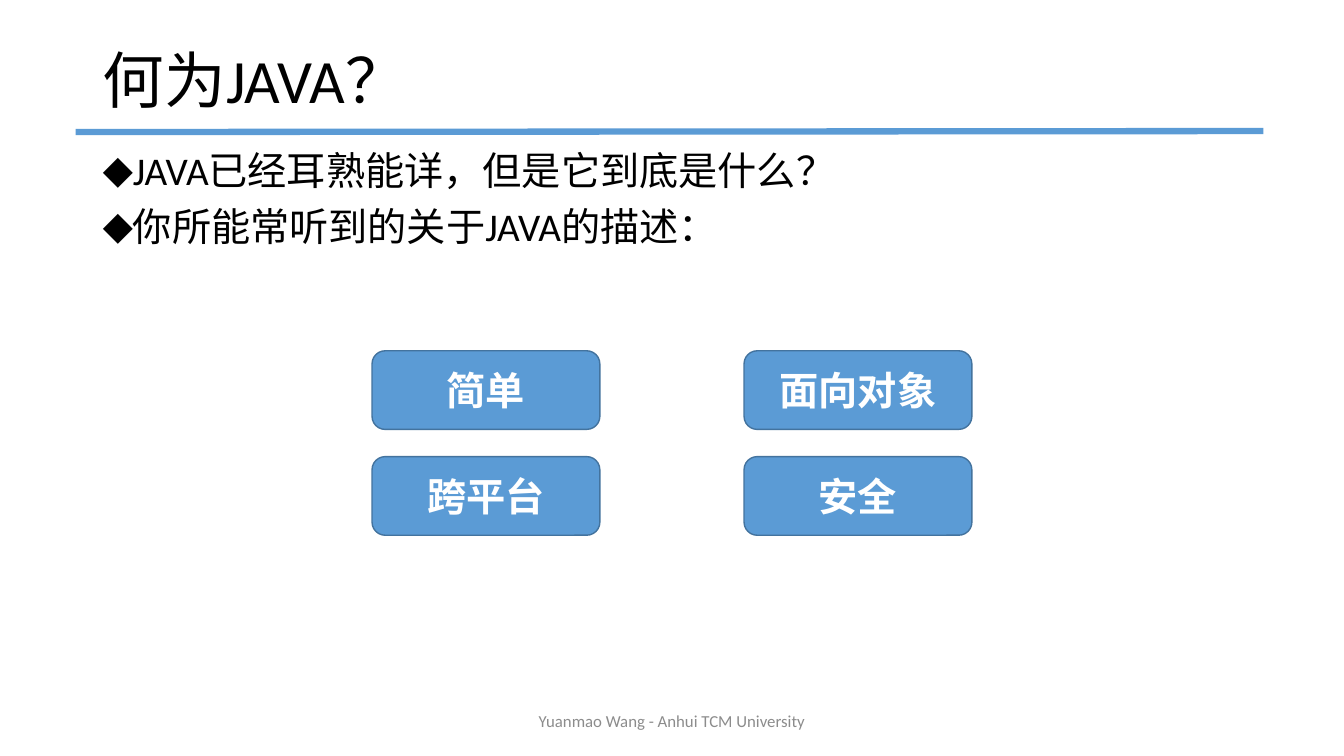
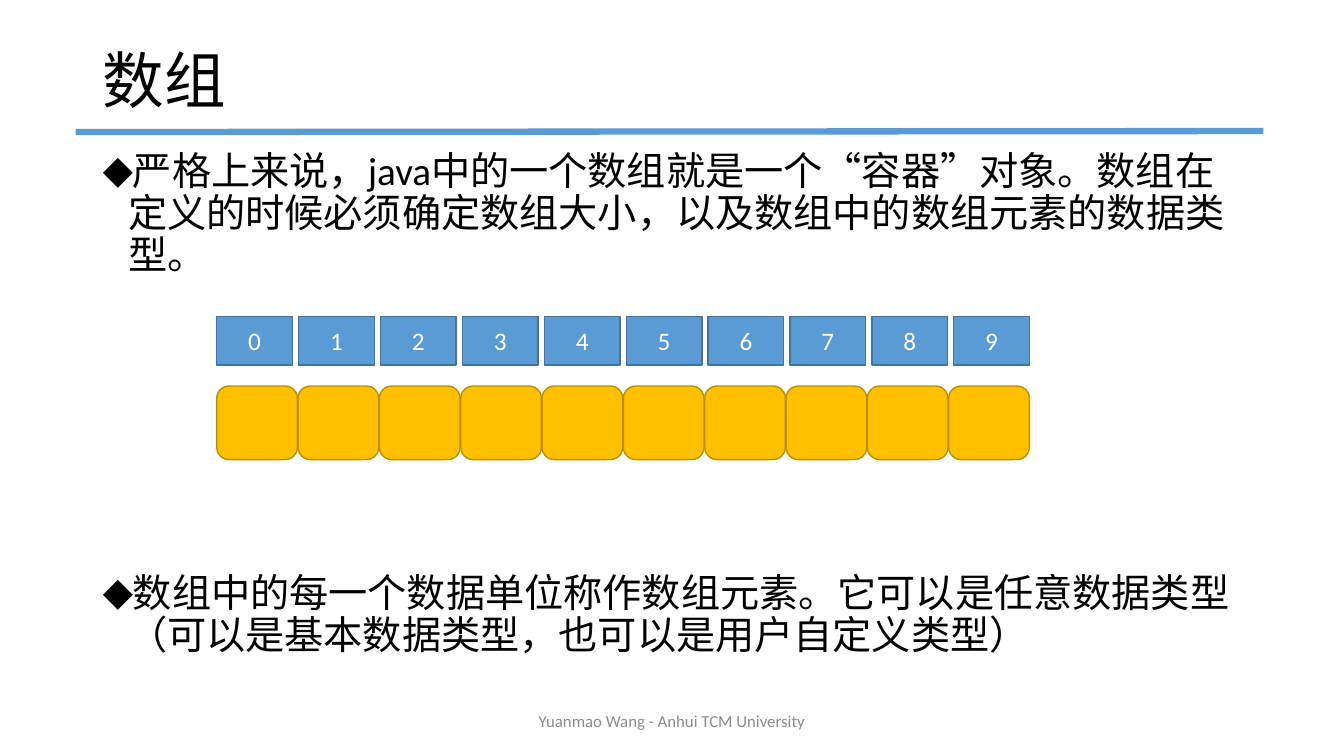
from dataclasses import dataclass

from lxml import etree
from pptx import Presentation
from pptx import util as u
from pptx.dml.color import RGBColor
from pptx.enum import shapes, text
from pptx.oxml.ns import qn

# Shared style
WIDTH, HEIGHT = 13.33, 7.5
FONT = "Calibri"
BLACK, WHITE, GREY = "000000", "FFFFFF", "8C8C8C"
BLUE, DARK_BLUE = "5B9BD5", "43739E"
GOLD, DARK_GOLD = "FFC000", "BD8E00"
MARGIN, CONTENT_WIDTH = 0.92, 11.5
FOOTER = "Yuanmao Wang - Anhui TCM University"
ROUNDED = shapes.MSO_SHAPE.ROUNDED_RECTANGLE
RECTANGLE = shapes.MSO_SHAPE.RECTANGLE

CENTERED = {"alignment": text.PP_ALIGN.CENTER}
TITLE_PARAGRAPH = {"alignment": text.PP_ALIGN.LEFT, "line_spacing": 0.9}
LIST_PARAGRAPH = {"alignment": text.PP_ALIGN.LEFT, "line_spacing": 0.9,
                  "space_before": u.Pt(10)}
MIDDLE_FRAME = {"word_wrap": True, "auto_size": text.MSO_AUTO_SIZE.NONE,
                "vertical_anchor": text.MSO_ANCHOR.MIDDLE}
TOP_FRAME = {**MIDDLE_FRAME, "vertical_anchor": text.MSO_ANCHOR.TOP}


@dataclass(frozen=True)
class BoxStyle:
    preset: shapes.MSO_SHAPE
    fill: str
    line: str
    size: int = 18
    bold: bool = False


@dataclass(frozen=True)
class Grid:
    """Equal boxes; the steps run from one box's edge to the next."""
    left: float
    top: float
    width: float
    height: float
    column_step: float
    row_step: float = 0

    def cell(self, column: int, row: int = 0) -> tuple:
        return (self.left + column * self.column_step,
                self.top + row * self.row_step, self.width, self.height)


FEATURE = BoxStyle(ROUNDED, BLUE, DARK_BLUE, size=28, bold=True)
INDEX = BoxStyle(RECTANGLE, BLUE, DARK_BLUE)
ELEMENT = BoxStyle(ROUNDED, GOLD, DARK_GOLD)


# Helpers
def color(value: str) -> RGBColor:
    return RGBColor.from_string(value)


def inches(*lengths: float) -> list:
    return [u.Inches(length) for length in lengths]


def apply(target, values: dict) -> None:
    for name, value in values.items():
        setattr(target, name, value)


def place(shape, *box: float) -> None:
    apply(shape, dict(zip(("left", "top", "width", "height"), inches(*box))))


def write(paragraph, words: str, size: int, ink: str, layout: dict,
          bold: bool = False) -> None:
    run = paragraph.add_run()
    run.text = words
    apply(run.font, {"name": FONT, "size": u.Pt(size), "bold": bold})
    run.font.color.rgb = color(ink)
    apply(paragraph, layout)


def add_bullet(paragraph) -> None:
    properties = paragraph._p.get_or_add_pPr()
    indent = u.Inches(0.25)
    properties.set("marL", str(indent))
    properties.set("indent", str(-indent))
    etree.SubElement(properties, qn("a:buFont"), typeface=FONT)
    etree.SubElement(properties, qn("a:buChar"), char="◆")


def add_box(slide, box: tuple, style: BoxStyle, words: str = "") -> None:
    shape = slide.shapes.add_shape(style.preset, *inches(*box))
    shape.shadow.inherit = False
    shape.fill.solid()
    shape.fill.fore_color.rgb = color(style.fill)
    shape.line.color.rgb = color(style.line)
    shape.line.width = u.Pt(1)
    if words:
        apply(shape.text_frame, MIDDLE_FRAME)
        write(shape.text_frame.paragraphs[0], words, style.size, WHITE,
              CENTERED, style.bold)


# Parts on every slide
def add_rule(slide) -> None:
    rule = slide.shapes.add_connector(shapes.MSO_CONNECTOR.STRAIGHT,
                                      *inches(0.75, 1.31, 12.53, 1.3))
    rule.line.color.rgb = color(BLUE)
    rule.line.width = u.Pt(4.5)
    etree.SubElement(rule._element.spPr, qn("a:effectLst"))


def add_footer(slide) -> None:
    width = 4.5
    footer = slide.shapes.add_textbox(
        *inches((WIDTH - width) / 2, 6.95, width, 0.4))
    apply(footer.text_frame, MIDDLE_FRAME)
    write(footer.text_frame.paragraphs[0], FOOTER, 12, GREY, CENTERED)


def add_slide(presentation, title: str, points: list, gap: float = 10):
    """Add a titled list; gap is the space in points before later items."""
    slide = presentation.slides.add_slide(presentation.slide_layouts[1])
    add_rule(slide)

    heading, body = slide.shapes.title, slide.placeholders[1]
    place(heading, MARGIN, 0.4, CONTENT_WIDTH, 0.86)
    apply(heading.text_frame, MIDDLE_FRAME)
    write(heading.text_frame.paragraphs[0], title, 44, BLACK, TITLE_PARAGRAPH)

    place(body, MARGIN, 1.45, CONTENT_WIDTH, 5.3)
    frame = body.text_frame
    apply(frame, TOP_FRAME)
    for number, point in enumerate(points):
        paragraph = frame.add_paragraph() if number else frame.paragraphs[0]
        layout = dict(LIST_PARAGRAPH)
        if number:
            layout["space_before"] = u.Pt(gap)
        write(paragraph, point, 28, BLACK, layout)
        add_bullet(paragraph)

    add_footer(slide)
    return slide


# Slides
def add_java_slide(presentation) -> None:
    slide = add_slide(presentation, "何为JAVA？", [
        "JAVA已经耳熟能详，但是它到底是什么？",
        "你所能常听到的关于JAVA的描述：",
    ])
    grid = Grid(3.69, 3.48, 2.26, 0.78, column_step=3.69, row_step=1.05)
    features = [("简单", "面向对象"), ("跨平台", "安全")]
    for row, names in enumerate(features):
        for column, name in enumerate(names):
            add_box(slide, grid.cell(column, row), FEATURE, name)


def add_array_slide(presentation) -> None:
    slide = add_slide(presentation, "数组", [
        "严格上来说，java中的一个数组就是一个“容器”对象。数组在定义的时候"
        "必须确定数组大小，以及数组中的数组元素的数据类型。",
        "数组中的每一个数据单位称作数组元素。它可以是任意数据类型"
        "（可以是基本数据类型，也可以是用户自定义类型）",
    ], gap=211)
    count = 10
    left, right = 2.15, 10.21

    def row_grid(top: float, width: float, height: float) -> Grid:
        step = (right - left - width) / (count - 1)
        return Grid(left, top, width, height, step)

    elements = row_grid(3.83, 0.8, 0.73)
    indexes = row_grid(3.14, 0.75, 0.48)
    for number in range(count):
        add_box(slide, elements.cell(number), ELEMENT)
        add_box(slide, indexes.cell(number), INDEX, str(number))


def main() -> None:
    presentation = Presentation()
    apply(presentation, {"slide_width": u.Inches(WIDTH),
                         "slide_height": u.Inches(HEIGHT)})
    add_java_slide(presentation)
    add_array_slide(presentation)
    presentation.save("out.pptx")


if __name__ == "__main__":
    main()
